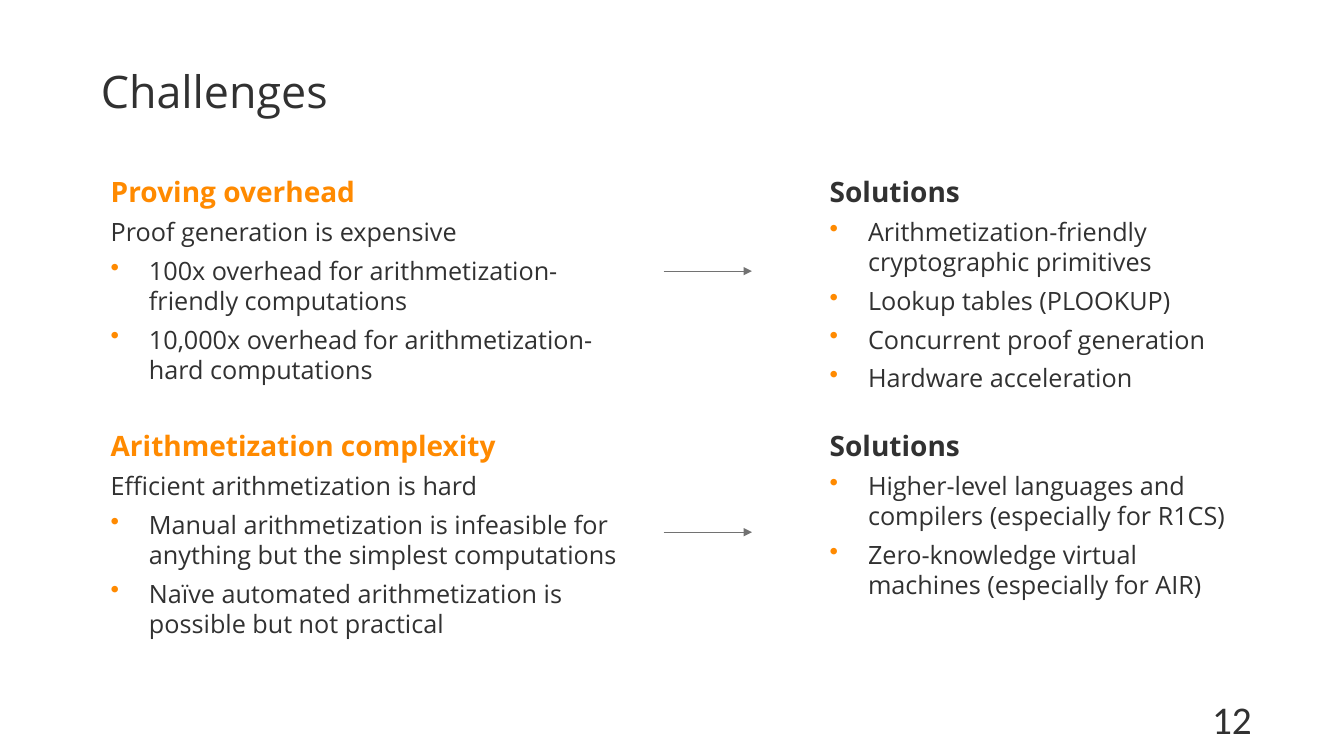
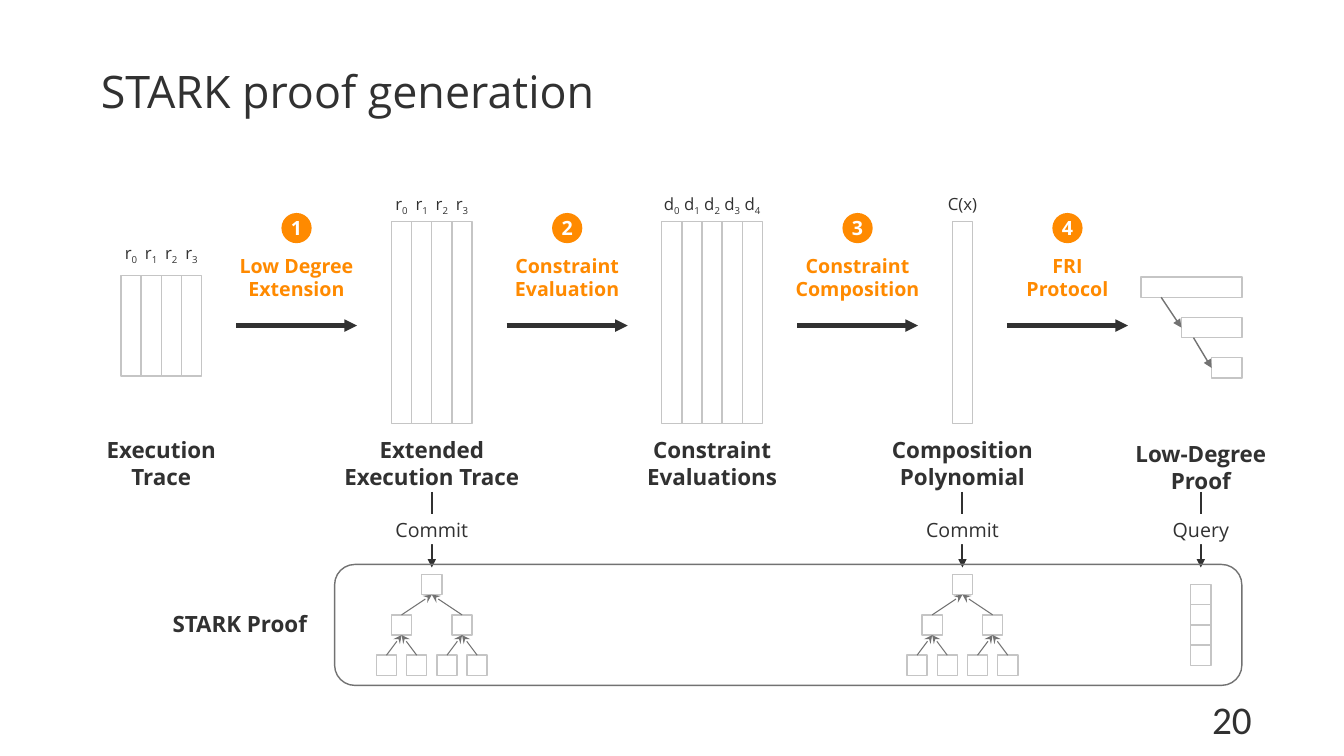
from collections import namedtuple

from lxml import etree
from pptx import Presentation
from pptx.dml.color import RGBColor
from pptx.enum.shapes import MSO_CONNECTOR, MSO_SHAPE
from pptx.enum.text import MSO_ANCHOR, PP_ALIGN
from pptx.oxml.ns import qn
from pptx.util import Inches, Pt

INK, ORANGE, GRAY, PALE, WHITE = "313131", "FF8A00", "727272", "C5C5C5", "FFFFFF"
FONT, NUMBER_FONT = "Open Sans", "Calibri"
COLUMNS, ROWS = 133.33, 75
TOP, LEFT, BOTTOM = 0, 1, 2

Box = namedtuple("Box", "x y w h")
Style = namedtuple("Style", "size color bold font", defaults=(INK, False, FONT))

TITLE = Style(32)
PAGE_NUMBER = Style(28, font=NUMBER_FONT)
BODY = Style(18)
STAGE_NAME = Style(16, bold=True)
STEP_NAME = Style(14, ORANGE, True)
BADGE = Style(14, WHITE, True)
LINK_NAME = Style(14)
COLUMN_NAME = Style(12)


def grid(cells):
    """Length of a number of grid cells, ten to the inch."""
    return Inches(cells / 10)


def color(hex_code):
    return RGBColor.from_string(hex_code)


def centered(x, y, w, h):
    return Box(x - w / 2, y, w, h)


def set_font(paragraph, style):
    font = paragraph.font
    font.size, font.bold, font.name = Pt(style.size), style.bold, style.font
    font.color.rgb = color(style.color)


def add_bullet(paragraph):
    props = paragraph._p.get_or_add_pPr()
    props.set("marL", str(grid(3.8)))
    props.set("indent", str(-grid(3.8)))
    bullet_color = etree.SubElement(props, qn("a:buClr"))
    etree.SubElement(bullet_color, qn("a:srgbClr")).set("val", ORANGE)
    etree.SubElement(props, qn("a:buChar")).set("char", "•")


def prepare_frame(shape, inset_x=0, inset_y=0.5, anchor=MSO_ANCHOR.TOP):
    frame = shape.text_frame
    frame.word_wrap = True
    frame.vertical_anchor = anchor
    frame.margin_left, frame.margin_right = grid(inset_x), 0
    frame.margin_top = frame.margin_bottom = grid(inset_y)
    return frame


def write_line(shape, words, style, align=PP_ALIGN.CENTER, subscript="", **frame_options):
    paragraph = prepare_frame(shape, **frame_options).paragraphs[0]
    paragraph.alignment = align
    set_font(paragraph, style)
    paragraph.add_run().text = words
    if subscript:
        index = paragraph.add_run()
        index.text = subscript
        index.font._element.set("baseline", "-25000")


def add_text_box(slide, box):
    return slide.shapes.add_textbox(*map(grid, box))


def add_label(slide, box, words, style, **options):
    label = add_text_box(slide, box)
    write_line(label, words, style, **options)
    return label


def add_block(slide, box, kind=MSO_SHAPE.RECTANGLE, fill=WHITE, line=PALE):
    block = slide.shapes.add_shape(kind, *map(grid, box))
    block.shadow.inherit = False
    if fill:
        block.fill.solid()
        block.fill.fore_color.rgb = color(fill)
    else:
        block.fill.background()
    if line:
        block.line.color.rgb = color(line)
        block.line.width = Pt(1)
    else:
        block.line.fill.background()
    return block


def add_arrow(slide, start, end, line=GRAY, width=0.75, head="triangle"):
    """Each end is a point (x, y), or a shape and the number of its side."""
    ends = (start, end)
    points = [(0, 0) if hasattr(e[0], "shape_id") else map(grid, e) for e in ends]
    arrow = slide.shapes.add_connector(
        MSO_CONNECTOR.STRAIGHT, *(value for point in points for value in point))
    for target, join in zip(ends, (arrow.begin_connect, arrow.end_connect)):
        if hasattr(target[0], "shape_id"):
            join(*target)
    arrow.line.color.rgb = color(line)
    arrow.line.width = Pt(width)
    etree.SubElement(arrow.line._get_or_add_ln(), qn("a:tailEnd")).set("type", head)
    etree.SubElement(arrow._element.spPr, qn("a:effectLst"))


def add_slide(deck, title, number):
    slide = deck.slides.add_slide(deck.slide_layouts[6])
    add_label(slide, Box(10, 5, COLUMNS - 20, 8), title, TITLE,
              align=PP_ALIGN.LEFT, anchor=MSO_ANCHOR.MIDDLE)
    add_label(slide, Box(COLUMNS * 5 / 6, 68.5, COLUMNS / 6, 4), str(number), PAGE_NUMBER)
    return slide


# Challenges

def add_topic(slide, box, heading, heading_color, bullets, lead=None):
    frame = prepare_frame(add_text_box(slide, box), inset_x=1)
    lines = [(heading, Style(20, heading_color, True), False)]
    if lead:
        lines.append((lead, BODY, False))
    lines += [(bullet, BODY, True) for bullet in bullets]
    for position, (words, style, bulleted) in enumerate(lines):
        paragraph = frame.add_paragraph() if position else frame.paragraphs[0]
        paragraph.space_after = Pt(6)
        if bulleted:
            add_bullet(paragraph)
        set_font(paragraph, style)
        paragraph.add_run().text = words


Challenge = namedtuple("Challenge", "y width arrow_y name lead problems solutions")
CHALLENGES = [
    Challenge(16.8, 49, 26.9, "Proving overhead", "Proof generation is expensive",
              ["100x overhead for arithmetization-friendly computations",
               "10,000x overhead for arithmetization-hard computations"],
              ["Arithmetization-friendly cryptographic primitives",
               "Lookup tables (PLOOKUP)",
               "Concurrent proof generation",
               "Hardware acceleration"]),
    Challenge(42, 55, 52.8, "Arithmetization complexity", "Efficient arithmetization is hard",
              ["Manual arithmetization is infeasible for anything but the simplest computations",
               "Naïve automated arithmetization is possible but not practical"],
              ["Higher-level languages and compilers (especially for R1CS)",
               "Zero-knowledge virtual machines (especially for AIR)"]),
]


def build_challenges(deck):
    slide = add_slide(deck, "Challenges", 12)
    for row in CHALLENGES:
        add_topic(slide, Box(10, row.y, row.width, 24), row.name, ORANGE, row.problems, row.lead)
        add_topic(slide, Box(81.33, row.y, 42, 24), "Solutions", INK, row.solutions)
        add_arrow(slide, (65.83, row.arrow_y), (74.6, row.arrow_y))


# STARK proof generation

Stage = namedtuple("Stage", "x name name_width columns top height header_gap")
STAGES = [
    Stage(16, "Execution Trace", 12, ["r0", "r1", "r2", "r3"], 27.32, 10, 3.7),
    Stage(42.84, "Extended Execution Trace", 18, ["r0", "r1", "r2", "r3"], 22, 20, 3.3),
    Stage(70.65, "Constraint Evaluations", 15, ["d0", "d1", "d2", "d3", "d4"], 22, 20, 3.3),
    Stage(95.48, "Composition Polynomial", 15, ["C(x)"], 22, 20, 3.3),
]
STEPS = [(29.42, "Low Degree Extension", 12), (56.27, "Constraint Evaluation", 12),
         (85.08, "Constraint Composition", 13), (105.9, "FRI Protocol", 11)]
PROOF_X = 119.13
NAME_TOP, NAME_BOTTOM = 42.8, 48.8
CELL = 2


def add_stage_name(slide, x, y, width, name):
    return add_label(slide, centered(x, y, width, 6), name, STAGE_NAME)


def add_stage(slide, stage):
    """Named columns side by side, with the stage's name below; returns the name."""
    left = stage.x - CELL * len(stage.columns) / 2
    for position, column in enumerate(stage.columns):
        x = left + CELL * position
        add_block(slide, Box(x, stage.top, CELL, stage.height))
        indexed = column[-1].isdigit()
        add_label(slide, centered(x + CELL / 2, stage.top - stage.header_gap, CELL if indexed else 4, 3),
                  column[:-1] if indexed else column, COLUMN_NAME,
                  subscript=column[-1] if indexed else "")
    return add_stage_name(slide, stage.x, NAME_TOP, stage.name_width, stage.name)


def add_step(slide, x, number, name, width):
    badge = add_block(slide, centered(x, 21.13, 3, 3), MSO_SHAPE.OVAL, ORANGE, None)
    write_line(badge, str(number), BADGE, anchor=MSO_ANCHOR.MIDDLE)
    add_label(slide, centered(x, 24.5, width, 6), name, STEP_NAME,
              inset_y=0, anchor=MSO_ANCHOR.MIDDLE)
    add_arrow(slide, (x - 6, 32.3), (x + 6, 32.3), INK, 3)


def add_fri_layers(slide, right, top):
    """Shrinking layers that share a right edge, each leading to the next."""
    start = None
    for position, width in enumerate((10, 6, 3)):
        x, y = right - width, top + 2 * CELL * position
        layer = add_block(slide, Box(x, y, width, CELL))
        if start:
            add_arrow(slide, start, (layer, LEFT), width=1)
        start = (x + width * 0.2, y + CELL)


def add_merkle_tree(slide, x, top):
    def add_node(node_x, level):
        node = add_block(slide, centered(node_x, top + 2 * CELL * level, CELL, CELL))
        if level < 2:
            reach = 3 / 2 ** level
            for child_x in (node_x - reach, node_x + reach):
                child = add_node(child_x, level + 1)
                add_arrow(slide, (child, TOP), (node, BOTTOM), head="stealth")
        return node

    add_node(x, 0)


def add_proof_link(slide, x, start, name):
    add_arrow(slide, start, (x, 56.3), INK, 1.5)
    link = add_block(slide, centered(x, 51, 11.9, 3), line=None)
    write_line(link, name, LINK_NAME, anchor=MSO_ANCHOR.MIDDLE)


def build_proof_generation(deck):
    slide = add_slide(deck, "STARK proof generation", 20)
    stage_names = [add_stage(slide, stage) for stage in STAGES]
    for number, (x, name, width) in enumerate(STEPS, 1):
        add_step(slide, x, number, name, width)
    add_fri_layers(slide, 123.2, 27.5)
    add_stage_name(slide, PROOF_X, NAME_TOP + 0.4, 15, "Low-Degree Proof")

    for committed in (1, 3):
        x = STAGES[committed].x
        add_proof_link(slide, x, (stage_names[committed], BOTTOM), "Commit")
        add_merkle_tree(slide, x, 57)
    add_proof_link(slide, PROOF_X, (PROOF_X, NAME_BOTTOM), "Query")
    for row in range(4):
        add_block(slide, centered(PROOF_X, 58 + CELL * row, CELL, CELL))

    add_block(slide, Box(33.2, 56, 90, 12), MSO_SHAPE.ROUNDED_RECTANGLE, None, GRAY)
    add_label(slide, Box(14.8, 60, 18, 4), "STARK Proof", STAGE_NAME)


def main():
    deck = Presentation()
    deck.slide_width, deck.slide_height = grid(COLUMNS), grid(ROWS)
    build_challenges(deck)
    build_proof_generation(deck)
    deck.save("out.pptx")


if __name__ == "__main__":
    main()
